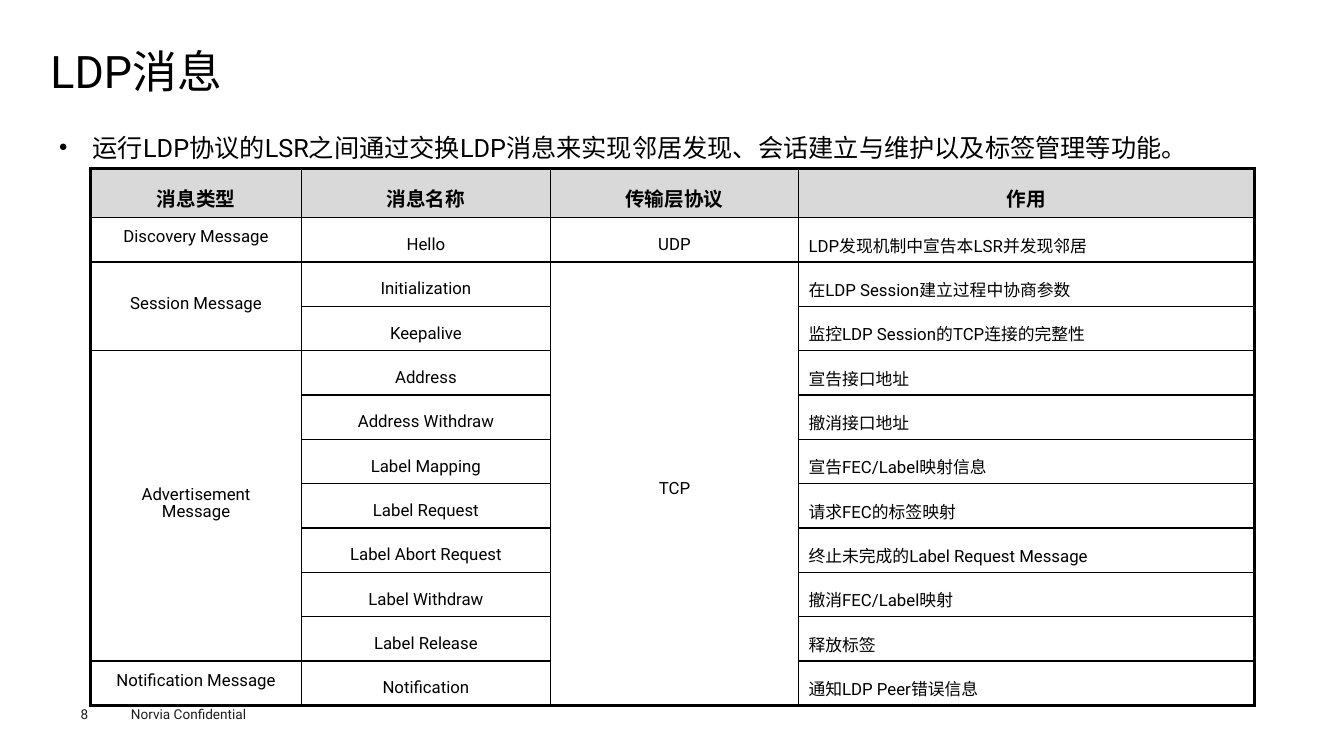
from typing import NamedTuple, Optional

import pptx
import pptx.dml.color
import pptx.enum.lang
import pptx.enum.text
import pptx.oxml
import pptx.oxml.ns
import pptx.util
from pptx.util import Inches

FONT = "Roboto"
BLACK = "000000"
FOOTER_COLOR = "1D1D1B"
HEADER_FILL = "D9D9D9"
INNER_BORDER, OUTER_BORDER = 1, 2.25
ALIGN = pptx.enum.text.PP_ALIGN
ANCHOR = pptx.enum.text.MSO_ANCHOR
AUTO_SIZE = pptx.enum.text.MSO_AUTO_SIZE


class Box(NamedTuple):
    left: float
    top: float
    width: float
    height: float


class TextStyle(NamedTuple):
    size: float
    color: str = BLACK
    bold: bool = False
    align: ALIGN = ALIGN.LEFT
    line_spacing: float = 1.0
    gap: float = 0
    cell_top: float = 0.05


class Message(NamedTuple):
    name: str
    purpose: str
    category: Optional[str] = None
    category_rows: int = 1
    transport: Optional[str] = None
    transport_rows: int = 1


TITLE = TextStyle(32, line_spacing=0.9)
BODY = TextStyle(18, align=ALIGN.JUSTIFY, line_spacing=1.4)
FOOTER = TextStyle(9.7, FOOTER_COLOR)
HEADER = TextStyle(14, bold=True, align=ALIGN.CENTER, line_spacing=1.4, cell_top=0.1)
CATEGORY = TextStyle(12, align=ALIGN.CENTER, line_spacing=0.5, gap=2.4)
CENTERED = TextStyle(12, align=ALIGN.CENTER, line_spacing=1.4, cell_top=0.07)
PURPOSE = TextStyle(12, line_spacing=1.4, cell_top=0.1)

HEADERS = ["消息类型", "消息名称", "传输层协议", "作用"]
COLUMN_STYLES = [CATEGORY, CENTERED, CENTERED, PURPOSE]
COLUMN_WIDTHS = [2.09, 2.47, 2.46, 4.52]
HEADER_HEIGHT, ROW_HEIGHT = 0.49, 0.44
MESSAGES = [
    Message("Hello", "LDP发现机制中宣告本LSR并发现邻居", "Discovery Message", transport="UDP"),
    Message("Initialization", "在LDP Session建立过程中协商参数", "Session Message", 2, "TCP", 10),
    Message("Keepalive", "监控LDP Session的TCP连接的完整性"),
    Message("Address", "宣告接口地址", "Advertisement\nMessage", 7),
    Message("Address Withdraw", "撤消接口地址"),
    Message("Label Mapping", "宣告FEC/Label映射信息"),
    Message("Label Request", "请求FEC的标签映射"),
    Message("Label Abort Request", "终止未完成的Label Request Message"),
    Message("Label Withdraw", "撤消FEC/Label映射"),
    Message("Label Release", "释放标签"),
    Message("Notification", "通知LDP Peer错误信息", "Notification Message"),
]


def rgb(color: str) -> pptx.dml.color.RGBColor:
    return pptx.dml.color.RGBColor.from_string(color)


def add_element(parent, tag: str, **attributes: str):
    element = pptx.oxml.parse_xml(f"<{tag} {pptx.oxml.ns.nsdecls('a')}/>")
    for name, value in attributes.items():
        element.set(name, value)
    parent.append(element)
    return element


def set_text(text_frame, text: str, style: TextStyle) -> None:
    text_frame.text = text
    for index, paragraph in enumerate(text_frame.paragraphs):
        paragraph.alignment = style.align
        paragraph.line_spacing = style.line_spacing
        paragraph.space_after = pptx.util.Pt(style.gap)
        paragraph.space_before = pptx.util.Pt(style.gap if index else 0)
        for run in paragraph.runs:
            run.font.name = FONT
            run.font.size = pptx.util.Pt(style.size)
            run.font.bold = style.bold
            run.font.color.rgb = rgb(style.color)
            run.font.language_id = pptx.enum.lang.MSO_LANGUAGE_ID.SIMPLIFIED_CHINESE
            add_element(run.font._element, "a:ea", typeface=FONT)


def set_margins(text_frame, horizontal: float, vertical: float) -> None:
    text_frame.margin_left = text_frame.margin_right = Inches(horizontal)
    text_frame.margin_top = text_frame.margin_bottom = Inches(vertical)


def add_text(slide, box: Box, text: str, style: TextStyle,
             margins: tuple[float, float] = (0.1, 0.05)):
    text_frame = slide.shapes.add_textbox(*map(Inches, box)).text_frame
    text_frame.word_wrap = True
    set_margins(text_frame, *margins)
    set_text(text_frame, text, style)
    return text_frame


def add_title(slide, box: Box, text: str) -> None:
    title = slide.shapes.title
    title.left, title.top, title.width, title.height = map(Inches, box)
    title.text_frame.auto_size = AUTO_SIZE.NONE
    title.text_frame.vertical_anchor = ANCHOR.MIDDLE
    set_margins(title.text_frame, 0, 0)
    set_text(title.text_frame, text, TITLE)


def add_bullet(paragraph, indent: float) -> None:
    properties = paragraph._p.get_or_add_pPr()
    properties.set("marL", str(Inches(indent)))
    properties.set("indent", str(-Inches(indent)))
    add_element(properties, "a:buSzPct", val="33000")
    add_element(properties, "a:buFont", typeface=FONT)
    add_element(properties, "a:buChar", char="●")


def set_borders(cell, row: int, column: int) -> None:
    last_row = row + (cell.span_height if cell.is_merge_origin else 1) > len(MESSAGES)
    outer_sides = {"L": column == 0, "R": column == len(HEADERS) - 1,
                   "T": row == 0, "B": last_row}
    for side, outer in outer_sides.items():
        width = pptx.util.Pt(OUTER_BORDER if outer else INNER_BORDER)
        line = add_element(cell._tc.get_or_add_tcPr(), f"a:ln{side}", w=str(width))
        add_element(add_element(line, "a:solidFill"), "a:srgbClr", val=BLACK)


def add_message_table(slide, box: Box) -> None:
    shape = slide.shapes.add_table(len(MESSAGES) + 1, len(HEADERS), *map(Inches, box))
    table = shape.table
    table.first_row = table.horz_banding = False
    for column, width in zip(table.columns, COLUMN_WIDTHS):
        column.width = Inches(width)
    for index, row in enumerate(table.rows):
        row.height = Inches(ROW_HEIGHT if index else HEADER_HEIGHT)

    # Merged categories and transports
    for row, message in enumerate(MESSAGES, 1):
        for column, span in ((0, message.category_rows), (2, message.transport_rows)):
            if span > 1:
                table.cell(row, column).merge(table.cell(row + span - 1, column))

    # Cell text, borders and fill
    rows = [HEADERS] + [[m.category, m.name, m.transport, m.purpose] for m in MESSAGES]
    for row, texts in enumerate(rows):
        for column, text in enumerate(texts):
            cell = table.cell(row, column)
            style = COLUMN_STYLES[column] if row else HEADER
            cell.vertical_anchor = ANCHOR.MIDDLE
            cell.margin_top = Inches(style.cell_top)
            if text:
                set_text(cell.text_frame, text, style)
            set_borders(cell, row, column)
            if row:
                cell.fill.background()
            else:
                cell.fill.solid()
                cell.fill.fore_color.rgb = rgb(HEADER_FILL)


def main() -> None:
    presentation = pptx.Presentation()
    presentation.slide_width = Inches(13.33)
    presentation.slide_height = Inches(7.5)
    slide = presentation.slides.add_slide(presentation.slide_layouts[5])

    # Footer
    add_text(slide, Box(1.2, 6.95, 1.6, 0.27), "Norvia Confidential", FOOTER)
    add_text(slide, Box(0.8, 7, 0.55, 0.16), "8", FOOTER, (0, 0))

    # Title and introduction
    add_title(slide, Box(0.5, 0.47, 12.35, 0.53), "LDP消息")
    introduction = add_text(
        slide, Box(0.5, 1.15, 12.35, 0.53),
        "运行LDP协议的LSR之间通过交换LDP消息来实现邻居发现、会话建立与维护以及标签管理等功能。",
        BODY, (0.09, 0.04))
    add_bullet(introduction.paragraphs[0], 0.33)

    # Message table
    table_height = HEADER_HEIGHT + ROW_HEIGHT * len(MESSAGES)
    add_message_table(slide, Box(0.9, 1.67, sum(COLUMN_WIDTHS), table_height))
    presentation.save("out.pptx")


if __name__ == "__main__":
    main()
